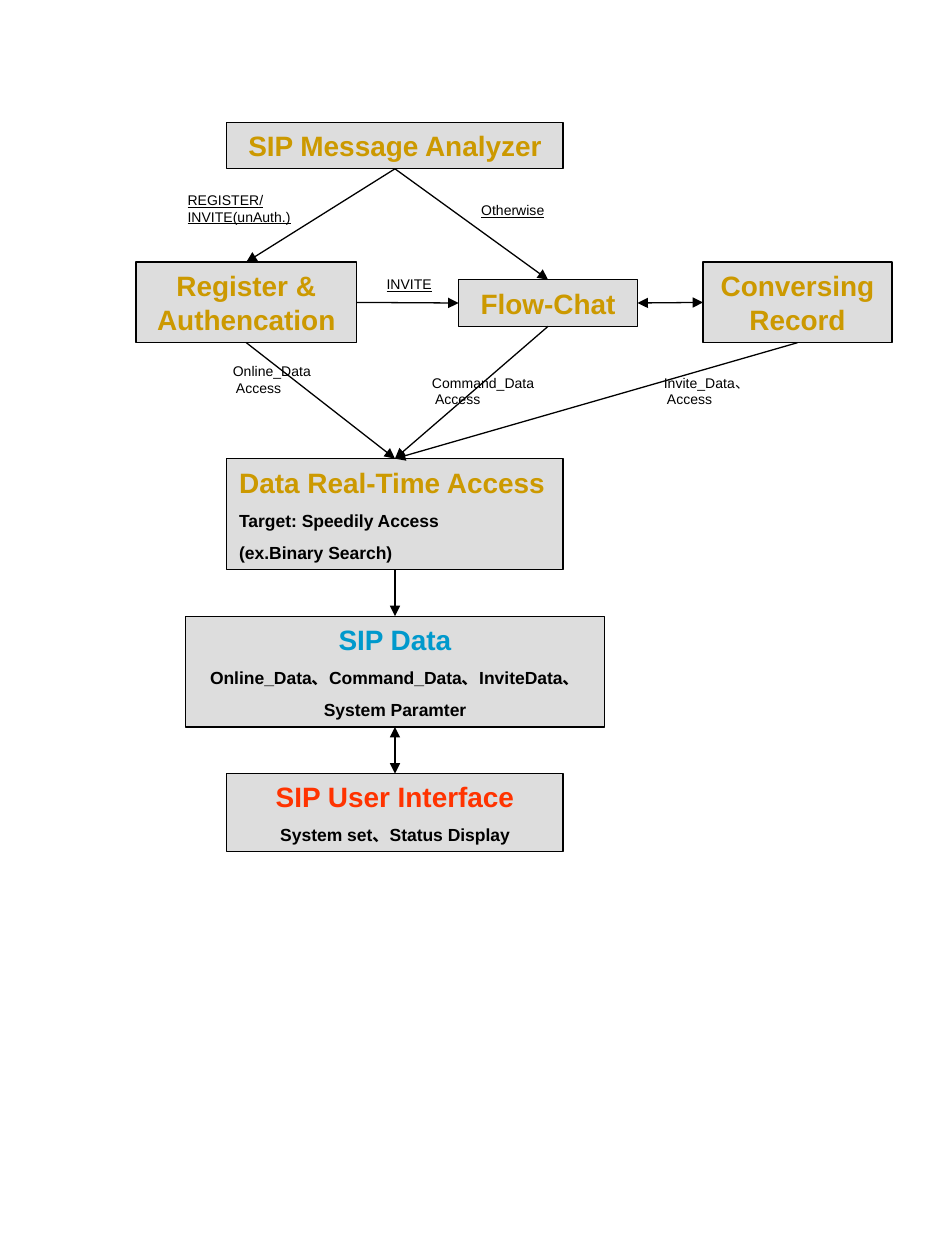
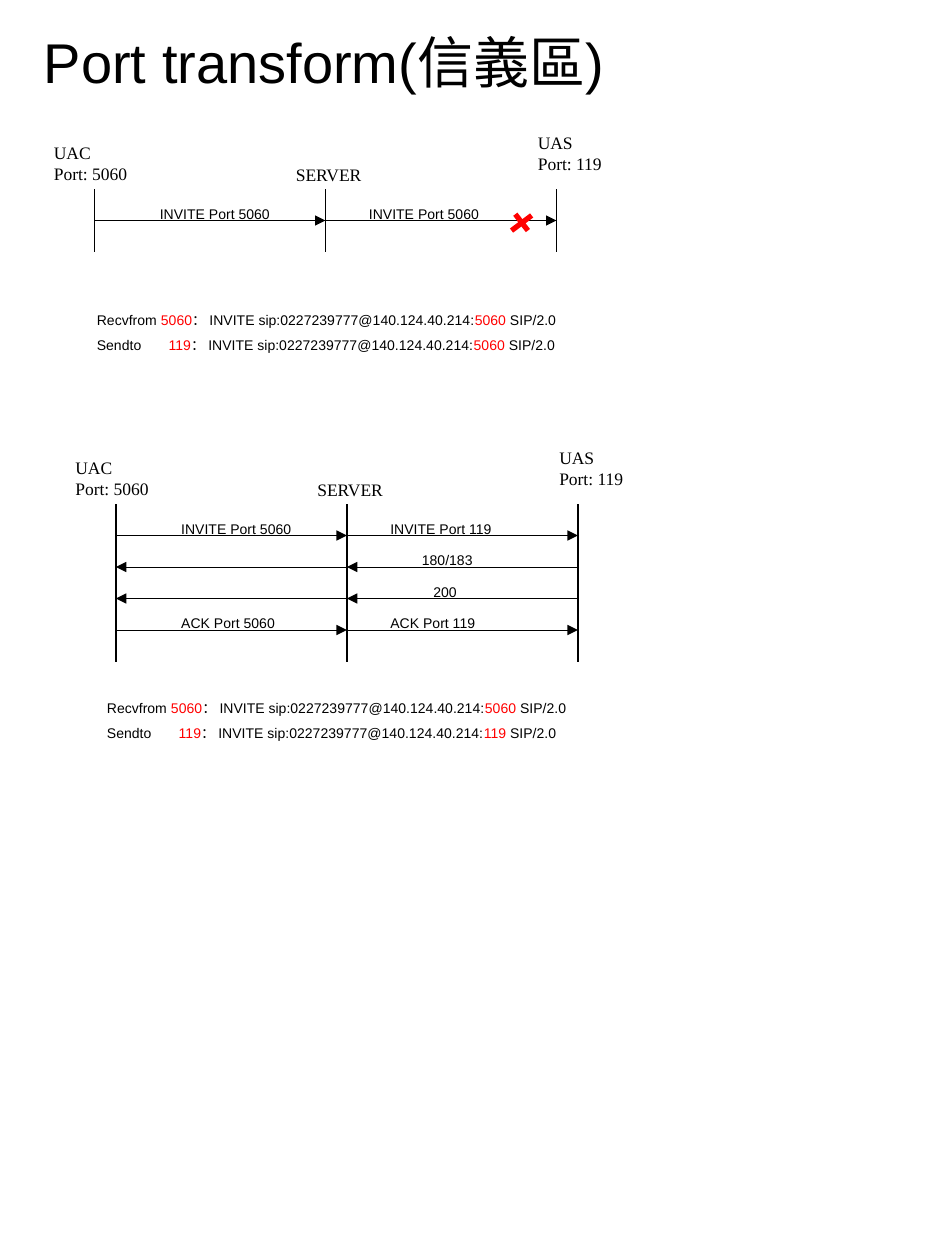
"""Build two slides on SIP message handling and port transformation."""
from dataclasses import dataclass
from lxml.etree import SubElement
from pptx import Presentation
from pptx.dml.color import RGBColor
from pptx.enum.shapes import MSO_CONNECTOR, MSO_SHAPE
from pptx.enum.text import MSO_AUTO_SIZE, PP_ALIGN
from pptx.oxml.ns import qn
from pptx.util import Inches, Pt


@dataclass(frozen=True)
class Theme:
    ink: str = "000000"
    fill: str = "DDDDDD"
    gold: str = "CC9900"
    blue: str = "0099CC"
    flame: str = "FF3300"
    red: str = "FF0000"
    sans: str = "Arial"
    serif: str = "Times New Roman"
    title: int = 32
    head: int = 16
    body: int = 10
    small: int = 8


THEME = Theme()
TOP, LEFT, BOTTOM, RIGHT = range(4)
END, START, BOTH = ("tailEnd",), ("headEnd",), ("headEnd", "tailEnd")


def tint(text):
    return RGBColor.from_string(text)


def write(par, text, size, color=THEME.ink, face=THEME.sans, gap=0.0,
          bold=False, under=False, align=PP_ALIGN.LEFT, tab=None):
    par.alignment = align
    par.space_before = Pt(gap)
    if tab:
        stops = SubElement(par._p.get_or_add_pPr(), qn("a:tabLst"))
        SubElement(stops, qn("a:tab"), pos=str(Inches(tab)), algn="l")
    font = par.font
    font.size, font.name, font.bold = Pt(size), face, bold
    font.color.rgb = tint(color)
    if under:
        font.underline = True
    for num, part in enumerate(text.split("|")):
        run = par.add_run()
        run.text = part
        if num % 2:
            run.font.color.rgb = tint(THEME.red)


def fit(frame):
    frame.word_wrap = True
    frame.auto_size = MSO_AUTO_SIZE.SHAPE_TO_FIT_TEXT


def fill(frame, lines, **style):
    for num, line in enumerate(lines):
        par = frame.add_paragraph() if num else frame.paragraphs[0]
        write(par, line, **style)


def label(slide, x, y, wide, lines, size=THEME.small, **style):
    high = 0.1 + len(lines) * size / 60
    area = slide.shapes.add_textbox(Inches(x), Inches(y), Inches(wide), Inches(high))
    fit(area.text_frame)
    fill(area.text_frame, lines, size=size, **style)


def box(slide, x, y, wide, high, heads, notes=(), color=THEME.gold,
        align=PP_ALIGN.CENTER):
    shape = slide.shapes.add_shape(
        MSO_SHAPE.RECTANGLE, Inches(x), Inches(y), Inches(wide), Inches(high))
    shape.shadow.inherit = False
    shape.fill.solid()
    shape.fill.fore_color.rgb = tint(THEME.fill)
    shape.line.color.rgb = tint(THEME.ink)
    shape.line.width = Pt(0.75)
    frame = shape.text_frame
    fit(frame)
    gap = 10 if len(heads) == 1 else 0
    fill(frame, heads, size=THEME.head, color=color, gap=gap, bold=True, align=align)
    for note in notes:
        write(frame.add_paragraph(), note, THEME.body, gap=6.2, bold=True, align=align)
    return shape


def line(slide, x1, y1, x2, y2, width=0.75, color=THEME.ink, ends=()):
    link = slide.shapes.add_connector(
        MSO_CONNECTOR.STRAIGHT, Inches(x1), Inches(y1), Inches(x2), Inches(y2))
    link.line.width = Pt(width)
    link.line.color.rgb = tint(color)
    for end in ends:
        SubElement(link.line._get_or_add_ln(), qn(f"a:{end}"), type="triangle")
    SubElement(link._element.spPr, qn("a:effectLst"))
    return link


def join(slide, first, side, last, goal, ends=END):
    link = line(slide, 0, 0, 1, 1, ends=ends)
    link.begin_connect(first, side)
    link.end_connect(last, goal)


def modules(slide):
    parse = box(slide, 1.8, 0.97, 2.67, 0.37, ["SIP Message Analyzer"])
    auth = box(slide, 1.08, 2.08, 1.75, 0.64, ["Register &", "Authencation"])
    flow = box(slide, 3.64, 2.22, 1.42, 0.37, ["Flow-Chat"])
    record = box(slide, 5.58, 2.08, 1.5, 0.64, ["Conversing", "Record"])
    access = box(slide, 1.8, 3.64, 2.67, 0.88, ["Data Real-Time Access"],
                 ["Target: Speedily Access", "(ex.Binary Search)"],
                 align=PP_ALIGN.LEFT)
    data = box(slide, 1.47, 4.89, 3.33, 0.88, ["SIP Data"],
               ["Online_Data、Command_Data、InviteData、", "System Paramter"],
               THEME.blue)
    user = box(slide, 1.8, 6.14, 2.67, 0.62, ["SIP User Interface"],
               ["System set、Status Display"], THEME.flame)

    for part in (auth, flow):
        join(slide, parse, BOTTOM, part, TOP)
    for part in (auth, flow, record):
        join(slide, part, BOTTOM, access, TOP)
    join(slide, auth, RIGHT, flow, LEFT)
    join(slide, flow, RIGHT, record, LEFT, BOTH)
    join(slide, access, BOTTOM, data, TOP)
    join(slide, data, BOTTOM, user, TOP, BOTH)

    for x, y, wide, lines in (
            (1.39, 1.47, 1.08, ["REGISTER/", "INVITE(unAuth.)"]),
            (3.72, 1.55, 0.75, ["Otherwise"]),
            (2.97, 2.14, 0.58, ["INVITE"])):
        label(slide, x, y, wide, lines, under=True)
    for x, y, wide, name in (
            (1.75, 2.83, 0.83, "Online_Data"),
            (3.33, 2.92, 1.08, "Command_Data"),
            (5.17, 2.92, 1.08, "Invite_Data、")):
        label(slide, x, y, wide, [name, " Access"])


def ladder(slide, left, top, tall, steps):
    cols = [left + 11 / 6 * num for num in range(3)]
    for x in cols:
        line(slide, x, top, x, top + tall, 1)
    for x, rise, wide, lines, gap in (
            (left - 0.42, 0.42, 0.83, ["UAC", "Port: 5060"], 0),
            (left + 1.5, 0.25, 0.75, ["SERVER"], 6.2),
            (left + 3.42, 0.5, 0.75, ["UAS", "Port: 119"], 0)):
        label(slide, x, top - rise, wide, lines, THEME.body,
              face=THEME.serif, gap=gap)
    for num, (ends, notes) in enumerate(steps, 1):
        y = top + 0.25 * num
        for start, stop in zip(cols, cols[1:]):
            line(slide, start, y, stop, y, 0.5, ends=ends)
        for shift, wide, text in notes:
            label(slide, left + shift, y - 0.17, wide, [text], gap=5)


def pair(first, second):
    return END, [(0.42, 1.17, first), (2.08, 1.17, second)]


def log(slide, x, y, port):
    call = "： INVITE sip:0227239777@140.124.40.214:"
    lines = [f"Recvfrom |5060|{call}|5060| SIP/2.0",
             f"Sendto\t|119|{call}|{port}| SIP/2.0"]
    label(slide, x, y, 4.42, lines, gap=5, tab=0.57)


def ports(slide):
    label(slide, 0.25, 0.17, 6.25, ["Port transform(信義區)"], THEME.title, gap=20)
    ladder(slide, 0.75, 1.5, 0.5, [pair("INVITE Port 5060", "INVITE Port 5060")])
    line(slide, 4.09, 1.7, 4.19, 1.83, 3, THEME.red)
    line(slide, 4.22, 1.71, 4.06, 1.83, 3, THEME.red)
    log(slide, 0.67, 2.42, 5060)
    ladder(slide, 0.92, 4, 1.25, [
        pair("INVITE Port 5060", "INVITE Port 119"),
        (START, [(2.33, 0.83, "180/183")]),
        (START, [(2.42, 0.42, "200")]),
        pair("ACK Port 5060", "ACK Port 119")])
    log(slide, 0.75, 5.5, 119)


def main():
    deck = Presentation()
    deck.slide_width, deck.slide_height = Inches(7.5), Inches(10)
    for draw in (modules, ports):
        draw(deck.slides.add_slide(deck.slide_layouts[6]))
    deck.save("out.pptx")


if __name__ == "__main__":
    main()
